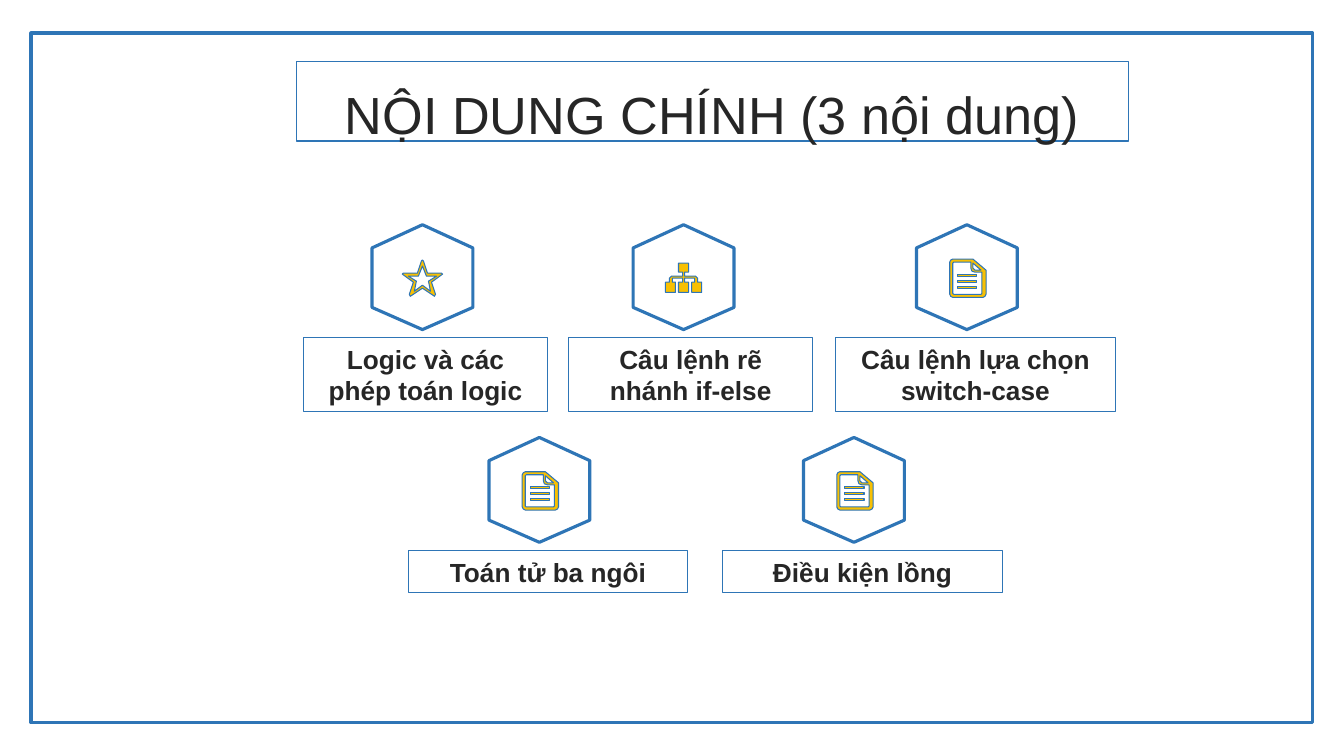
import pptx
import pptx.util
import pptx.dml.color
import pptx.enum.shapes
import pptx.enum.text

Inches, Pt = pptx.util.Inches, pptx.util.Pt
RGBColor = pptx.dml.color.RGBColor
ANCHOR = pptx.enum.text.MSO_ANCHOR

BLUE = RGBColor(0x2E, 0x75, 0xB6)
YELLOW = RGBColor(0xF8, 0xC0, 0x02)
DARK = RGBColor(0x26, 0x26, 0x26)

# Content: label, icon, label left, label width, hexagon left
TITLE = "NỘI DUNG CHÍNH (3 nội dung)"
ROWS = [
    # hexagon top, label height, topics
    (2.23, 0.73, [
        ("Logic và các phép toán logic", "star", 3.01, 2.42, 3.69),
        ("Câu lệnh rẽ nhánh if-else", "tree", 5.64, 2.42, 6.28),
        ("Câu lệnh lựa chọn switch-case", "document", 8.29, 2.77, 9.09),
    ]),
    (4.34, 0.42, [
        ("Toán tử ba ngôi", "document", 4.05, 2.77, 4.85),
        ("Điều kiện lồng", "document", 7.17, 2.77, 7.97),
    ]),
]
LABEL_DROP = 1.12  # from hexagon top to label top

# Outlines in hundredths of an inch from the hexagon's top left corner
AXIS = 50


def mirrored(half):
    return half + [(2 * AXIS - x, y) for x, y in reversed(half)]


HEXAGON = [mirrored([(50, 0), (100, 23), (100, 82), (50, 104)])]
STAR = [
    mirrored([(50, 35), (51, 36), (55, 48), (69, 48), (70, 49), (59, 57),
              (63, 69), (62, 71), (50, 63)]),
    mirrored([(50, 41), (54, 51), (64, 51), (56, 56), (58, 66), (50, 60)]),
]
TREE = [mirrored([(55, 38), (55, 47), (51, 47), (51, 51), (62, 51), (64, 53),
                  (64, 57), (68, 57), (68, 67), (58, 67), (58, 57), (61, 57),
                  (61, 53), (51, 53), (51, 57), (55, 57), (55, 67)])]
PAGE_EDGE = [(36, 34), (56, 34), (69, 45), (69, 69), (68, 71), (66, 72),
             (36, 72), (34, 71), (33, 69), (33, 37), (34, 35)]
PAGE_INSIDE = [(37, 37), (54, 37), (54, 43), (55, 46), (58, 47), (65, 47),
               (65, 68), (64, 69), (37, 69), (36, 68), (36, 38)]
PAGE_FOLD = [(56, 38), (64, 45), (58, 45), (56, 43)]
TEXT_LINES = [[(41, y), (60, y), (60, y + 2), (41, y + 2)] for y in (49, 55, 61)]
ICONS = {
    "star": STAR,
    "tree": TREE,
    "document": [PAGE_EDGE, PAGE_INSIDE, PAGE_FOLD] + TEXT_LINES,
}


def style(sp, line_width, fill=None):
    sp.shadow.inherit = False
    if fill is None:
        sp.fill.background()
    else:
        sp.fill.solid()
        sp.fill.fore_color.rgb = fill
    sp.line.color.rgb = BLUE
    sp.line.width = Pt(line_width)


def add_box(x, y, w, h, line_width):
    sp = s.shapes.add_shape(pptx.enum.shapes.MSO_SHAPE.RECTANGLE,
                            Inches(x), Inches(y), Inches(w), Inches(h))
    style(sp, line_width)
    return sp


def write(sp, text, size, bold=False):
    tf = sp.text_frame
    tf.word_wrap = True
    tf.vertical_anchor = ANCHOR.MIDDLE
    tf.text = text
    p = tf.paragraphs[0]
    p.alignment = pptx.enum.text.PP_ALIGN.CENTER
    f = p.runs[0].font
    f.name, f.size, f.bold = "Arial", Pt(size), bold
    f.color.rgb = DARK
    return tf


def add_outline(shapes, contours, x, y, line_width, fill=None):
    fb = shapes.build_freeform(*contours[0][0], scale=Inches(0.01))
    fb.add_line_segments(contours[0][1:], close=True)
    for contour in contours[1:]:
        fb.move_to(*contour[0])
        fb.add_line_segments(contour[1:], close=True)
    style(fb.convert_to_shape(Inches(x), Inches(y)), line_width, fill)


prs = pptx.Presentation()
prs.slide_width, prs.slide_height = Inches(13.33), Inches(7.5)
s = prs.slides.add_slide(prs.slide_layouts[6])

# Title and frame
tf = write(add_box(2.94, 0.61, 8.25, 0.79, 1), TITLE, 37.3)
tf.vertical_anchor = ANCHOR.TOP
tf.margin_top, tf.margin_bottom = Inches(0.08), 0
tf.paragraphs[0].line_spacing = 1.2
add_box(0.31, 0.33, 12.71, 6.84, 2.5)

# Topics: hexagon with icon above its label
for top, label_height, topics in ROWS:
    for label, icon, label_x, label_width, hexagon_x in topics:
        badge = s.shapes.add_group_shape()
        add_outline(badge.shapes, HEXAGON, hexagon_x, top, 2.25)
        add_outline(badge.shapes, ICONS[icon], hexagon_x, top, 0.75, YELLOW)
        box = add_box(label_x, top + LABEL_DROP, label_width, label_height, 0.75)
        write(box, label, 18.7, bold=True)

prs.save("out.pptx")
